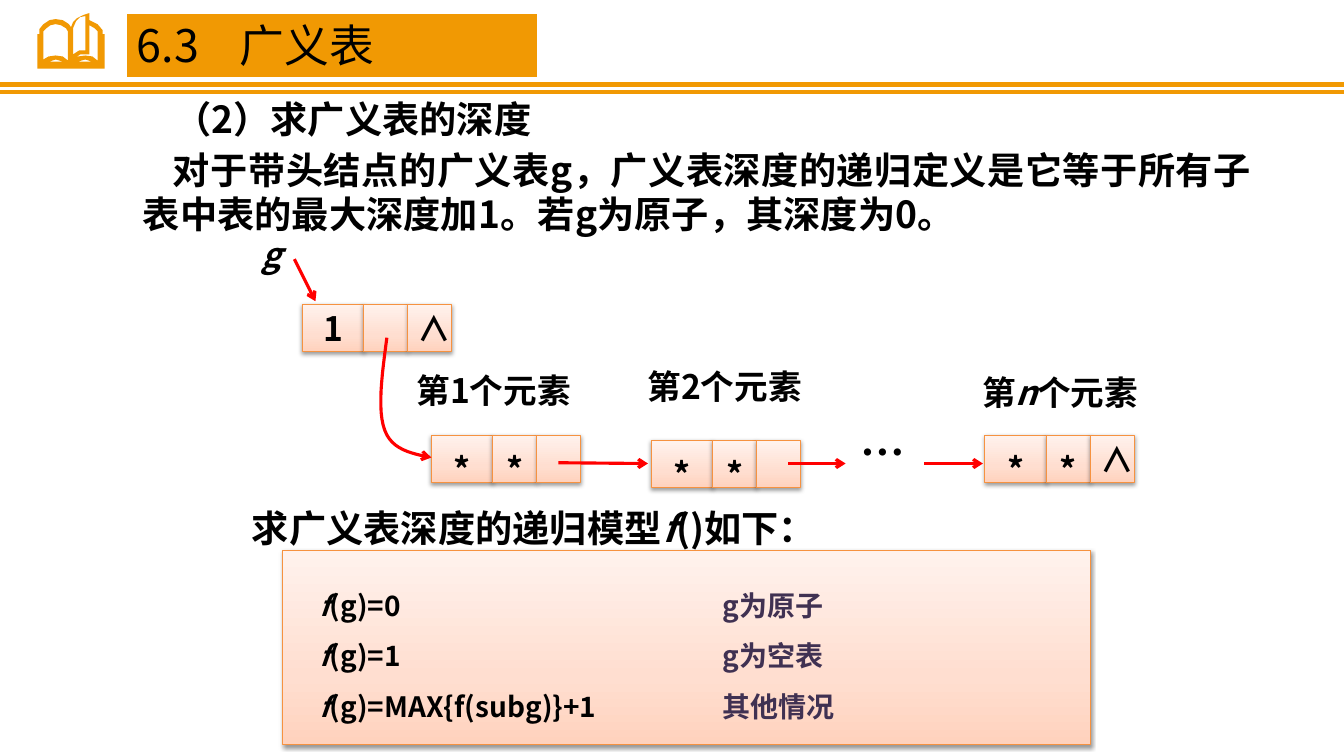
import dataclasses
import lxml.etree
import pptx
import pptx.dml.color
import pptx.enum.shapes
import pptx.enum.text
import pptx.oxml
import pptx.oxml.ns
import pptx.util

Cm = pptx.util.Cm
Pt = pptx.util.Pt
ALIGN = pptx.enum.text.PP_ALIGN
ANCHOR = pptx.enum.text.MSO_ANCHOR
RECTANGLE = pptx.enum.shapes.MSO_SHAPE.RECTANGLE
qn = pptx.oxml.ns.qn

FONT = "Noto Sans CJK SC"
COLORS = {
    "orange": "F19903", "black": "000000", "purple": "403152",
    "red": "FF0000", "white": "FFFFFF", "cell_line": "F69240",
}
GRADIENT = {0: "FFD2BD", 35: "FFDED0", 100: "FFF2ED"}
CELL_WIDTHS = (1.55, 1.11, 1.11)
BOOK_SIZE = (66, 55)
BOOK_CONTOURS = (
    ((64, 21), (64, 17), (59, 11), (51, 7), (51, 0), (45, 2), (39, 5), (35, 9),
     (33, 14), (31, 11), (25, 7), (18, 6), (12, 7), (6, 11), (2, 16), (2, 21),
     (0, 21), (0, 55), (66, 55), (66, 21)),
    ((12, 48), (18, 46), (25, 48)),
    ((30, 47), (25, 43), (18, 42), (11, 43), (6, 46), (6, 18), (9, 15),
     (13, 12), (18, 11), (23, 12), (28, 15), (30, 18)),
    ((47, 3), (47, 37), (41, 37), (35, 41), (35, 15), (38, 8), (42, 4)),
    ((40, 48), (47, 46), (53, 48)),
    ((59, 47), (54, 43), (47, 42), (40, 43), (35, 46), (42, 41), (51, 41),
     (51, 12), (56, 15), (59, 18)),
)


@dataclasses.dataclass
class Box:
    left: float
    top: float
    width: float
    height: float

    def inner(self, left, top, width, height):
        return Box(self.left + left, self.top + top, width, height)

    def point(self, x, y):
        return Cm(self.left + x), Cm(self.top + y)

    def lengths(self):
        return [Cm(value) for value in dataclasses.astuple(self)]


def rgb(name):
    return pptx.dml.color.RGBColor.from_string(COLORS[name])


def add_run(paragraph, text, size, color="black", bold=True, italic=False):
    run = paragraph.add_run()
    run.text = text
    formats = {"name": FONT, "size": Pt(size), "bold": bold, "italic": italic}
    for name, value in formats.items():
        setattr(run.font, name, value)
    run.font.color.rgb = rgb(color)
    properties = run.font._element
    lxml.etree.SubElement(properties, qn("a:ea")).set("typeface", FONT)


def add_tab_stop(paragraph, position):
    properties = paragraph._p.get_or_add_pPr()
    tabs = lxml.etree.SubElement(properties, qn("a:tabLst"))
    tab = lxml.etree.SubElement(tabs, qn("a:tab"))
    tab.set("pos", str(Cm(position)))
    tab.set("algn", "l")


def add_text(slide, box, parts, size, alignment=ALIGN.LEFT):
    frame = slide.shapes.add_textbox(*box.lengths()).text_frame
    frame.word_wrap = True
    paragraph = frame.paragraphs[0]
    paragraph.alignment = alignment
    for text, italic in parts:
        add_run(paragraph, text, size, italic=italic)
    return paragraph


def add_panel(slide, box):
    shape = slide.shapes.add_shape(RECTANGLE, *box.lengths())
    shape.shadow.inherit = False
    shape.fill.gradient()
    shape.fill.gradient_angle = 90
    stops = shape._element.spPr.find(".//" + qn("a:gsLst"))
    for stop in list(stops):
        stops.remove(stop)
    for position, color in GRADIENT.items():
        stop = lxml.etree.SubElement(stops, qn("a:gs"), pos=str(position * 1000))
        lxml.etree.SubElement(stop, qn("a:srgbClr"), val=color)
    shape.line.color.rgb = rgb("cell_line")
    shape.line.width = Pt(0.75)
    effects = shape._element.spPr.find(qn("a:effectLst"))
    shadow = lxml.etree.SubElement(
        effects, qn("a:outerShdw"), blurRad=str(Pt(3.1)), dist=str(Pt(1.6)),
        dir="5400000", rotWithShape="0")
    color = lxml.etree.SubElement(shadow, qn("a:srgbClr"), val=COLORS["black"])
    lxml.etree.SubElement(color, qn("a:alpha"), val="38000")
    return shape


def style_line(shape, color, width, arrow=False):
    shape.line.color.rgb = rgb(color)
    shape.line.width = Pt(width)
    if arrow:
        line = shape.line._get_or_add_ln()
        lxml.etree.SubElement(line, qn("a:tailEnd"), type="arrow")


def add_line(slide, start, end, color, width, arrow=False):
    connector = slide.shapes.add_connector(
        pptx.enum.shapes.MSO_CONNECTOR.STRAIGHT, *start, *end)
    style_line(connector, color, width, arrow)
    lxml.etree.SubElement(connector._element.spPr, qn("a:effectLst"))


def bezier(points, steps=12):
    a, b, c, d = points
    for step in range(1, steps + 1):
        t = step / steps
        u = 1 - t
        yield tuple(u**3 * p + 3 * u * u * t * q + 3 * u * t * t * r + t**3 * s
                    for p, q, r, s in zip(a, b, c, d))


def draw_book(slide, box):
    def place(point):
        return box.point(point[0] * box.width / BOOK_SIZE[0],
                         point[1] * box.height / BOOK_SIZE[1])

    builder = slide.shapes.build_freeform(*place(BOOK_CONTOURS[0][0]))
    for index, contour in enumerate(BOOK_CONTOURS):
        if index:
            builder.move_to(*place(contour[0]))
        builder.add_line_segments([place(point) for point in contour[1:]], close=True)
    book = builder.convert_to_shape()
    book.shadow.inherit = False
    book.fill.solid()
    book.fill.fore_color.rgb = rgb("orange")
    book.line.fill.background()


def draw_header(slide, box):
    for y in (2.13, 2.31):
        add_line(slide, box.point(0, y), box.point(box.width, y), "orange", 3)
    draw_book(slide, box.inner(0.94, 0.33, 1.7, 1.4))
    title = slide.shapes.add_shape(RECTANGLE, *box.inner(3.2, 0.33, 10.36, 1.63).lengths())
    title.shadow.inherit = False
    title.fill.solid()
    title.fill.fore_color.rgb = rgb("orange")
    style_line(title, "white", 0.75)
    title.text_frame.vertical_anchor = ANCHOR.TOP
    paragraph = title.text_frame.paragraphs[0]
    paragraph.alignment = ALIGN.LEFT
    add_tab_stop(paragraph, 2.59)
    add_run(paragraph, "6.3\t广义表", 32, bold=False)


def draw_explanation(slide, box):
    add_text(slide, box.inner(0.79, 0, 10.59, 1.4), [("（2）求广义表的深度", False)], 26.6)
    body = "对于带头结点的广义表g，广义表深度的递归定义是它等于所有子表中表的最大深度加1。若g为原子，其深度为0。"
    paragraph = add_text(slide, box.inner(0, 1.29, box.width, 2.54),
                         [(body, False)], 26.6, ALIGN.JUSTIFY)
    paragraph._p.get_or_add_pPr().set("indent", str(Cm(0.76)))


def draw_node(slide, box, values):
    left = 0
    for value, width in zip(values, CELL_WIDTHS):
        cell = add_panel(slide, box.inner(left, 0, width, box.height))
        left += width
        if value:
            cell.text_frame.vertical_anchor = ANCHOR.MIDDLE
            paragraph = cell.text_frame.paragraphs[0]
            paragraph.alignment = ALIGN.CENTER
            if value == "*":
                paragraph.line_spacing = 1.5
            add_run(paragraph, value, 24)


def draw_list_diagram(slide, box):
    add_text(slide, box.inner(0, 0, 1.57, 1.27), [("g", True)], 24)
    add_text(slide, box.inner(15.09, 4.8, 1.32, 1.63), [("…", False)], 32)
    labels = (
        (3.45, 3.42, [("第1个元素", False)]),
        (9.27, 3.32, [("第2个元素", False)]),
        (17.73, 3.48, [("第", False), ("n", True), ("个元素", False)]),
    )
    for x, y, parts in labels:
        add_text(slide, box.inner(x, y, 5.28, 1.27), parts, 24, ALIGN.CENTER)
    nodes = ((1.27, 1.9, ("1", "", "∧")), (4.52, 5.2, ("*", "*", "")),
             (18.47, 5.2, ("*", "*", "∧")), (10.06, 5.33, ("*", "*", "")))
    for x, y, values in nodes:
        draw_node(slide, box.inner(x, y, sum(CELL_WIDTHS), 1.19), values)
    arrows = (((1.07, 0.76), (1.6, 1.82)), ((7.72, 5.89), (9.98, 5.91)),
              ((13.51, 5.91), (14.96, 5.91)), ((16.94, 5.91), (18.42, 5.91)))
    for start, end in arrows:
        add_line(slide, box.point(*start), box.point(*end), "red", 2.25, True)
    bends = (((3.4, 2.74), (3.28, 3.65), (3.15, 4.57), (3.35, 5.08)),
             ((3.35, 5.08), (3.53, 5.56), (4.01, 5.66), (4.52, 5.76)))
    builder = slide.shapes.build_freeform(*box.point(*bends[0][0]))
    for bend in bends:
        builder.add_line_segments([box.point(*point) for point in bezier(bend)], close=False)
    pointer = builder.convert_to_shape()
    pointer.shadow.inherit = False
    pointer.fill.background()
    style_line(pointer, "red", 2.25, True)


def draw_model(slide, box):
    add_text(slide, box.inner(0, 0, 20.9, 1.4),
             [("求广义表深度的递归模型", False), ("f", True), ("()如下：", False)], 26.6)
    frame = add_panel(slide, box.inner(1.01, 1.25, 20.37, 4.9)).text_frame
    formats = {"margin_left": Cm(0.94), "margin_top": Cm(0.53),
               "margin_bottom": Cm(0.53), "vertical_anchor": ANCHOR.TOP}
    for name, value in formats.items():
        setattr(frame, name, value)
    cases = (("(g)=0", "g为原子"), ("(g)=1", "g为空表"), ("(g)=MAX{f(subg)}+1", "其他情况"))
    for index, (formula, condition) in enumerate(cases):
        paragraph = frame.add_paragraph() if index else frame.paragraphs[0]
        paragraph.alignment = ALIGN.LEFT
        paragraph.line_spacing = 1.5
        add_tab_stop(paragraph, 10.16)
        add_run(paragraph, "f", 20, italic=True)
        add_run(paragraph, formula + "\t", 20)
        add_run(paragraph, condition, 20, "purple")


def main():
    presentation = pptx.Presentation()
    presentation.slide_width = Cm(33.87)
    presentation.slide_height = Cm(19.05)
    slide = presentation.slides.add_slide(presentation.slide_layouts[6])
    draw_header(slide, Box(0, 0, 33.87, 2.4))
    draw_explanation(slide, Box(3.35, 2.29, 28.45, 3.83))
    draw_list_diagram(slide, Box(6.35, 5.77, 23.01, 6.52))
    draw_model(slide, Box(6.1, 12.62, 21.38, 6.15))
    presentation.save("out.pptx")


if __name__ == "__main__":
    main()
